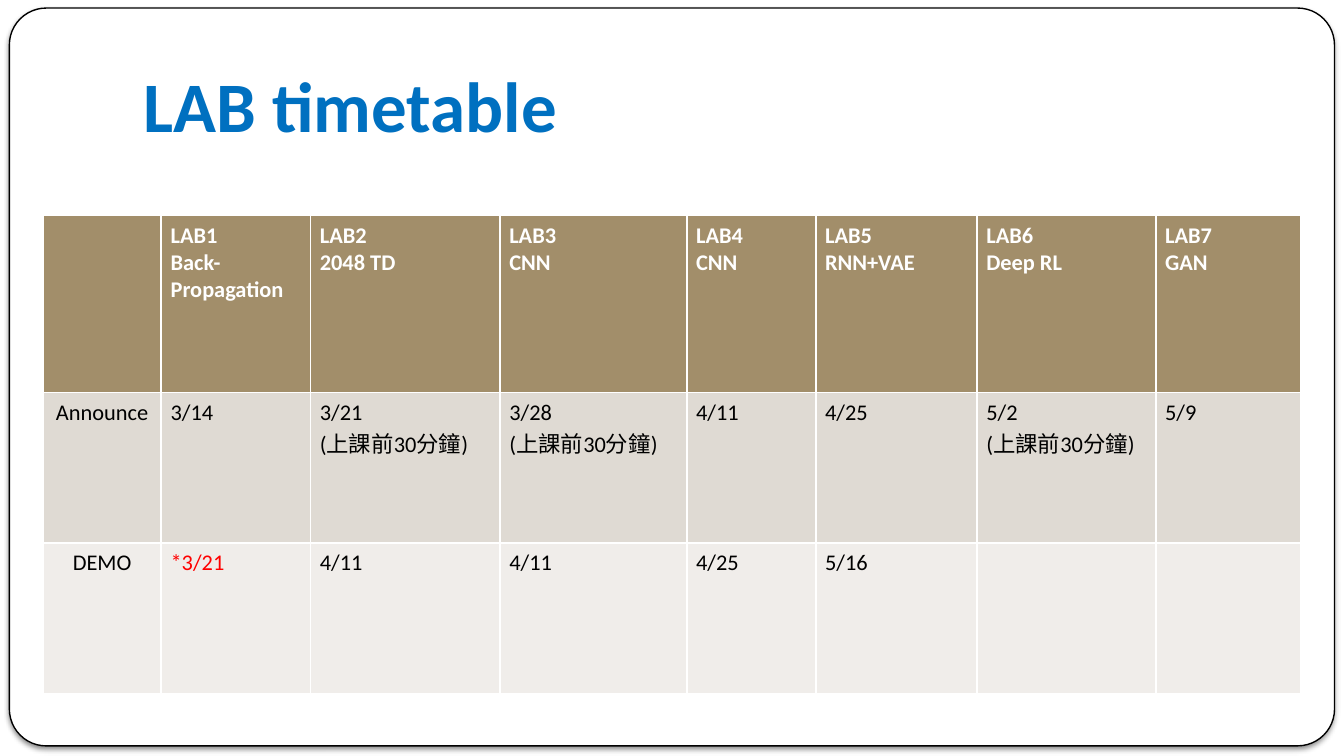
from pptx import Presentation
from pptx.dml.color import RGBColor as RGB
from pptx.enum.shapes import MSO_SHAPE as SHAPE
from pptx.enum.text import MSO_ANCHOR as ANCHOR, PP_ALIGN as ALIGN
from pptx.oxml import parse_xml
from pptx.oxml.ns import nsdecls
from pptx.util import Inches, Pt

HUES = {"white": "FFFFFF", "black": "000000", "blue": "0070C0", "red": "FF0000",
        "head": "A28E6A", "odd": "DFDAD3", "even": "F0EDEA"}


def write(par, text, size, hue, bold=False):
    run = par.add_run()
    run.text = text
    run.font.name = "Calibri"
    run.font.size = Pt(size)
    run.font.bold = bold
    run.font.color.rgb = RGB.from_string(HUES[hue])


def frame(cell):
    props = cell._tc.get_or_add_tcPr()
    for n, side in enumerate(("lnL", "lnR", "lnT", "lnB")):
        props.insert(n, parse_xml(
            f'<a:{side} {nsdecls("a")} w="{Pt(0.96)}"><a:solidFill>'
            f'<a:srgbClr val="{HUES["white"]}"/></a:solidFill></a:{side}>'))


# Widescreen slide, 16:9
deck = Presentation()
deck.slide_width = Inches(10)
deck.slide_height = Inches(10) * 9 // 16
slide = deck.slides.add_slide(deck.slide_layouts[6])

# Rounded panel with a soft shadow
panel = slide.shapes.add_shape(SHAPE.ROUNDED_RECTANGLE, Inches(0.07), Inches(0.06),
                               Inches(9.86), Inches(5.49))
panel.adjustments[0] = 0.05
panel.fill.solid()
panel.fill.fore_color.rgb = RGB.from_string(HUES["white"])
panel.line.color.rgb = RGB.from_string(HUES["black"])
panel.line.width = Pt(0.75)
panel._element.spPr.append(parse_xml(
    f'<a:effectLst {nsdecls("a")}><a:outerShdw blurRad="{Pt(3)}" dist="{Pt(2)}" '
    f'dir="5400000" rotWithShape="0"><a:srgbClr val="{HUES["black"]}">'
    '<a:alpha val="50000"/></a:srgbClr></a:outerShdw></a:effectLst>'))

# Title
title = slide.shapes.add_textbox(Inches(1), Inches(0.22), Inches(8.5), Inches(0.94))
body = title.text_frame
body.word_wrap = True
body.vertical_anchor = ANCHOR.BOTTOM
body.margin_left = body.margin_right = body.margin_bottom = Inches(0.07)
body.margin_top = Inches(0.04)
write(body.paragraphs[0], "LAB timetable", 38, "blue", True)

# Timetable: each cell is a list of lines
EARLY = "(上課前30分鐘)"
ROWS = [
    [[], ["LAB1", "Back-Propagation"], ["LAB2", "2048 TD"], ["LAB3", "CNN"],
     ["LAB4", "CNN"], ["LAB5", "RNN+VAE"], ["LAB6", "Deep RL"], ["LAB7", "GAN"]],
    [["Announce"], ["3/14"], ["3/21", EARLY], ["3/28", EARLY],
     ["4/11"], ["4/25"], ["5/2", EARLY], ["5/9"]],
    [["DEMO"], ["*3/21"], ["4/11"], ["4/11"], ["4/25"], ["5/16"], [], []],
]
WIDTHS = [0.88, 1.11, 1.41, 1.39, 0.96, 1.2, 1.33, 1.08]
HEIGHTS = [1.32, 1.12, 1.12]

table = slide.shapes.add_table(len(ROWS), len(WIDTHS), Inches(0.32), Inches(1.6),
                               Inches(sum(WIDTHS)), Inches(sum(HEIGHTS))).table
for col, width in zip(table.columns, WIDTHS):
    col.width = Inches(width)
for row, height in zip(table.rows, HEIGHTS):
    row.height = Inches(height)

for r, (cells, fill) in enumerate(zip(ROWS, ("head", "odd", "even"))):
    for c, lines in enumerate(cells):
        cell = table.cell(r, c)
        cell.fill.solid()
        cell.fill.fore_color.rgb = RGB.from_string(HUES[fill])
        cell.margin_left = cell.margin_right = Inches(0.07)
        cell.margin_top = cell.margin_bottom = Inches(0.05)
        frame(cell)
        for n, line in enumerate(lines):
            body = cell.text_frame
            par = body.add_paragraph() if n else body.paragraphs[0]
            if c == 0:
                par.alignment = ALIGN.CENTER
            hue = "white" if r == 0 else "red" if line.startswith("*") else "black"
            write(par, line, 12, hue, r == 0)

deck.save("out.pptx")
